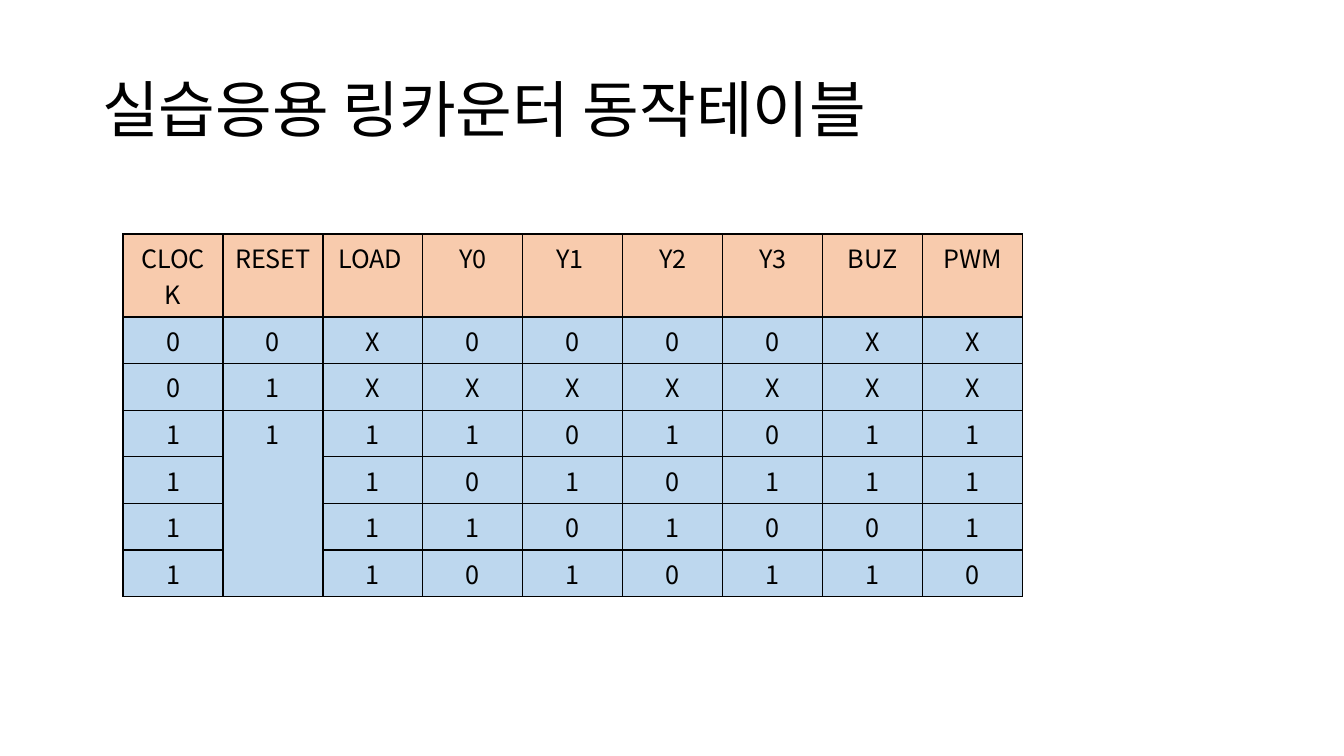
from pptx import Presentation
from pptx.dml.color import RGBColor
from pptx.enum.text import MSO_ANCHOR, PP_ALIGN
from pptx.oxml import parse_xml
from pptx.oxml.ns import nsdecls
from pptx.util import Pt

FONT = "Noto Sans CJK KR"
COLORS = {"text": "000000", "header": "F8CBAD", "body": "BDD7EE", "border": "000000"}


def px(length):
    return round(length * 914400 / 100.8)


def style_text(paragraph, size):
    for run in paragraph.runs:
        run.font.size = Pt(size)
        run.font.name = FONT
        run.font.color.rgb = RGBColor.from_string(COLORS["text"])
        run.font._element.append(parse_xml(f'<a:ea {nsdecls("a")} typeface="{FONT}"/>'))


prs = Presentation()
prs.slide_width, prs.slide_height = px(1344), px(756)
slide = prs.slides.add_slide(prs.slide_layouts[5])

title = slide.shapes.title
title.left, title.top, title.width, title.height = px(92), px(40), px(1159), px(146)
title.text_frame.text = "실습응용 링카운터 동작테이블"
title.text_frame.vertical_anchor = MSO_ANCHOR.MIDDLE
heading = title.text_frame.paragraphs[0]
heading.alignment = PP_ALIGN.LEFT
heading.line_spacing = 0.9
style_text(heading, 44)

states = [
    ["CLOCK", "RESET", "LOAD ", "Y0", "Y1 ", "Y2", "Y3", "BUZ", "PWM"],
    list("00X0000XX"),
    list("01XXXXXXX"),
    list("111101011"),
    ["1", "", *"1010111"],
    ["1", "", *"1101001"],
    ["1", "", *"1010110"],
]
row_heights = [83] + [46] * 6
counter = slide.shapes.add_table(
    len(states), len(states[0]), px(123), px(234), px(900), px(sum(row_heights))
).table
for column in counter.columns:
    column.width = px(100)

for r, (state, height) in enumerate(zip(states, row_heights)):
    counter.rows[r].height = px(height)
    for c, value in enumerate(state):
        cell = counter.cell(r, c)
        cell.text_frame.text = value
        signal = cell.text_frame.paragraphs[0]
        signal.alignment = PP_ALIGN.CENTER
        style_text(signal, 18)
        props = cell._tc.get_or_add_tcPr()
        for side in ("lnL", "lnR", "lnT", "lnB"):
            props.append(parse_xml(
                f'<a:{side} {nsdecls("a")} w="12700"><a:solidFill>'
                f'<a:srgbClr val="{COLORS["border"]}"/></a:solidFill></a:{side}>'
            ))
        cell.fill.solid()
        cell.fill.fore_color.rgb = RGBColor.from_string(COLORS["body" if r else "header"])

counter.cell(3, 1).merge(counter.cell(6, 1))

prs.save("out.pptx")
